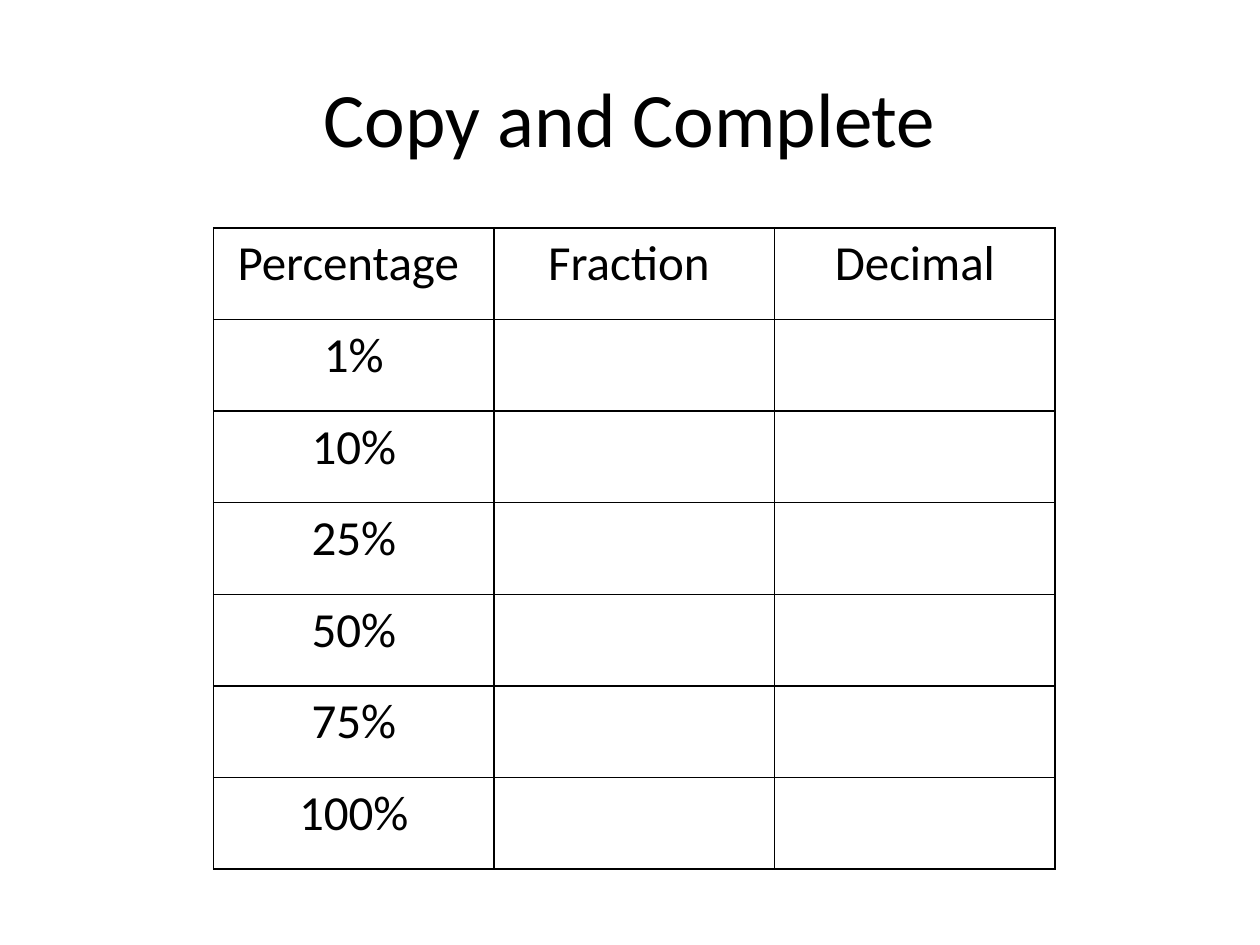
from dataclasses import dataclass

import pptx
import pptx.dml.color
import pptx.enum.text
import pptx.oxml
import pptx.oxml.ns
import pptx.util

Pt = pptx.util.Pt
RGB = pptx.dml.color.RGBColor


@dataclass(frozen=True)
class Theme:
    font: str = "Calibri"
    ink: str = "000000"
    paper: str = "FFFFFF"
    title_size: float = 44
    cell_size: float = 28
    border_width: float = 1


@dataclass(frozen=True)
class Area:
    left: float
    top: float
    width: float
    height: float

    def lengths(self) -> tuple:
        return Pt(self.left), Pt(self.top), Pt(self.width), Pt(self.height)


THEME = Theme()
TITLE_AREA = Area(36, 21.6, 648, 90)
TABLE_AREA = Area(122, 130.2, 481, 366.5)
HEADINGS = ("Percentage ", "Fraction ", "Decimal")
PERCENTAGES = ("1%", "10%", "25%", "50%", "75%", "100%")


def write_centred(frame, text: str, size: float) -> None:
    para = frame.paragraphs[0]
    para.alignment = pptx.enum.text.PP_ALIGN.CENTER
    span = para.add_run()
    span.text = text
    span.font.name = THEME.font
    span.font.size = Pt(size)
    span.font.color.rgb = RGB.from_string(THEME.ink)


def add_borders(cell) -> None:
    """Rule all four sides; the schema wants the lines ahead of the fill."""
    properties = cell._tc.get_or_add_tcPr()
    for index, side in enumerate(("lnL", "lnR", "lnT", "lnB")):
        line = pptx.oxml.parse_xml(
            f'<a:{side} {pptx.oxml.ns.nsdecls("a")} w="{Pt(THEME.border_width)}">'
            f'<a:solidFill><a:srgbClr val="{THEME.ink}"/></a:solidFill></a:{side}>'
        )
        properties.insert(index, line)


def add_title(page, text: str, area: Area) -> None:
    title = page.shapes.title
    title.left, title.top, title.width, title.height = area.lengths()
    title.text_frame.vertical_anchor = pptx.enum.text.MSO_ANCHOR.MIDDLE
    write_centred(title.text_frame, text, THEME.title_size)


def add_worksheet_table(page, headings: tuple, percentages: tuple, area: Area) -> None:
    """Fill the headings and first column, leaving the answers empty."""
    row_count, column_count = len(percentages) + 1, len(headings)
    table = page.shapes.add_table(row_count, column_count, *area.lengths()).table
    for column in table.columns:
        column.width = Pt(area.width / column_count)
    for row in table.rows:
        row.height = Pt(area.height / row_count)
    for cell in table.iter_cells():
        cell.fill.solid()
        cell.fill.fore_color.rgb = RGB.from_string(THEME.paper)
        add_borders(cell)
    for index, heading in enumerate(headings):
        write_centred(table.cell(0, index).text_frame, heading, THEME.cell_size)
    for index, percentage in enumerate(percentages, start=1):
        write_centred(table.cell(index, 0).text_frame, percentage, THEME.cell_size)


def main() -> None:
    deck = pptx.Presentation()
    deck.slide_width, deck.slide_height = Pt(720), Pt(540)
    page = deck.slides.add_slide(deck.slide_layouts[5])
    add_title(page, "Copy and Complete", TITLE_AREA)
    add_worksheet_table(page, HEADINGS, PERCENTAGES, TABLE_AREA)
    deck.save("out.pptx")


if __name__ == "__main__":
    main()
